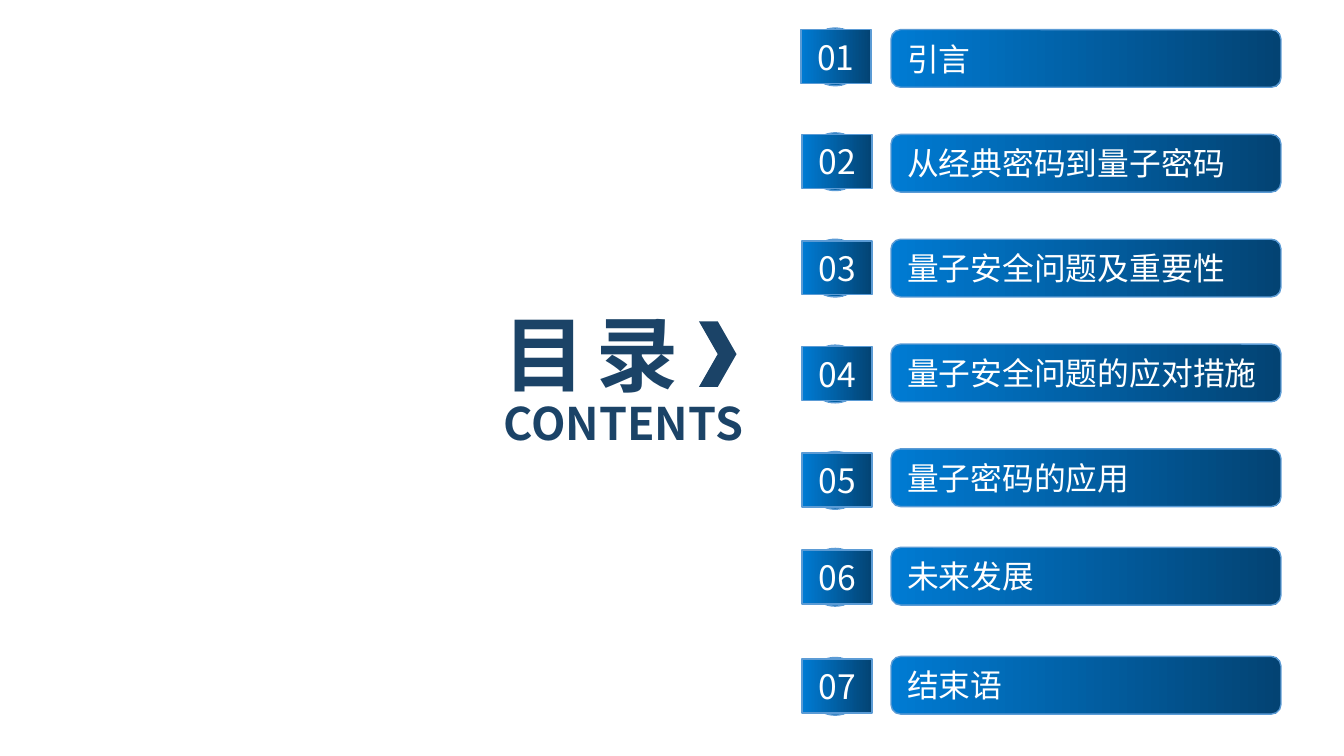
import pptx
import pptx.util
import pptx.dml.color
import pptx.enum.shapes
import pptx.enum.text
import pptx.oxml.ns
import lxml.etree

Cm = pptx.util.Cm
Pt = pptx.util.Pt
RGB = pptx.dml.color.RGBColor
KIND = pptx.enum.shapes.MSO_SHAPE
ALIGN = pptx.enum.text.PP_ALIGN

NAVY = RGB(0x1B, 0x43, 0x67)
BLUE = RGB(0x00, 0x7B, 0xD3)
DEEP = RGB(0x03, 0x43, 0x73)
EDGE = RGB(0x5B, 0x9B, 0xD5)
WHITE = RGB(0xFF, 0xFF, 0xFF)
FONT = "Noto Sans CJK SC"

# Text, top of the bar, top of the badge (cm)
ROWS = [
    ("引言", 0.56, 0.56),
    ("从经典密码到量子密码", 2.54, 2.54),
    ("量子安全问题及重要性", 4.52, 4.55),
    ("量子安全问题的应对措施", 6.5, 6.55),
    ("量子密码的应用", 8.48, 8.56),
    ("未来发展", 10.34, 10.39),
    ("结束语", 12.4, 12.45),
]


def write(shape, text, size, color=WHITE, bold=False, align=ALIGN.LEFT, gap=None):
    """Put one formatted line of text into a shape."""
    frame = shape.text_frame
    frame.word_wrap = True
    frame.auto_size = pptx.enum.text.MSO_AUTO_SIZE.NONE
    frame.vertical_anchor = pptx.enum.text.MSO_ANCHOR.MIDDLE
    para = frame.paragraphs[0]
    para.alignment = align
    run = para.add_run()
    run.text = text
    run.font.size = Pt(size)
    run.font.bold = bold
    run.font.name = FONT
    run.font.color.rgb = color
    props = run._r.get_or_add_rPr()
    east = lxml.etree.SubElement(props, pptx.oxml.ns.qn("a:ea"))
    east.set("typeface", FONT)
    if gap is not None:
        props.set("spc", str(round(gap * 100)))


def place(shape, left, top, width, height):
    """Move and size a placeholder."""
    shape.left, shape.top = Cm(left), Cm(top)
    shape.width, shape.height = Cm(width), Cm(height)


def block(parent, kind, left, top, width, height):
    """Add a shape with the blue gradient and a thin edge."""
    shape = parent.add_shape(kind, Cm(left), Cm(top), Cm(width), Cm(height))
    shape.shadow.inherit = False
    shape.fill.gradient()
    shape.fill.gradient_angle = 0
    for stop, color in zip(shape.fill.gradient_stops, (BLUE, DEEP)):
        stop.color.rgb = color
    shape.line.color.rgb = EDGE
    shape.line.width = Pt(0.75)
    return shape


def badge(shapes, label, top):
    """Add a number box with a circle behind it."""
    group = shapes.add_group_shape().shapes
    block(group, KIND.OVAL, 15.24, top - 0.03, 1.09, 1.09)
    left = 15.14 if label == "01" else 15.16
    box = block(group, KIND.RECTANGLE, left, top, 1.32, 1.02)
    write(box, label, 18, align=ALIGN.CENTER)


def head(shapes):
    """Fill the title, its subtitle and the chevron."""
    place(shapes.title, 9.27, 5.59, 5.97, 2.13)
    write(shapes.title, "目 录", 44, color=NAVY, bold=True, gap=-2.2)
    sub = shapes.add_textbox(Cm(9.27), Cm(7.34), Cm(5.87), Cm(1.27))
    write(sub, "CONTENTS", 24, color=NAVY, bold=True)
    mark = shapes.add_shape(KIND.CHEVRON, Cm(13.21), Cm(6.07), Cm(0.71), Cm(1.24))
    mark.shadow.inherit = False
    mark.fill.solid()
    mark.fill.fore_color.rgb = NAVY
    mark.line.fill.background()


def main():
    deck = pptx.Presentation()
    deck.slide_width, deck.slide_height = Cm(25.4), Cm(14.28)
    shapes = deck.slides.add_slide(deck.slide_layouts[5]).shapes

    # Heading on the left
    head(shapes)

    # Numbered chapters on the right
    for num, (text, top, high) in enumerate(ROWS, 1):
        badge(shapes, f"{num:02}", high)
        bar = block(shapes, KIND.ROUNDED_RECTANGLE, 16.84, top, 7.37, 1.09)
        write(bar, text, 17)

    deck.save("out.pptx")


if __name__ == "__main__":
    main()
